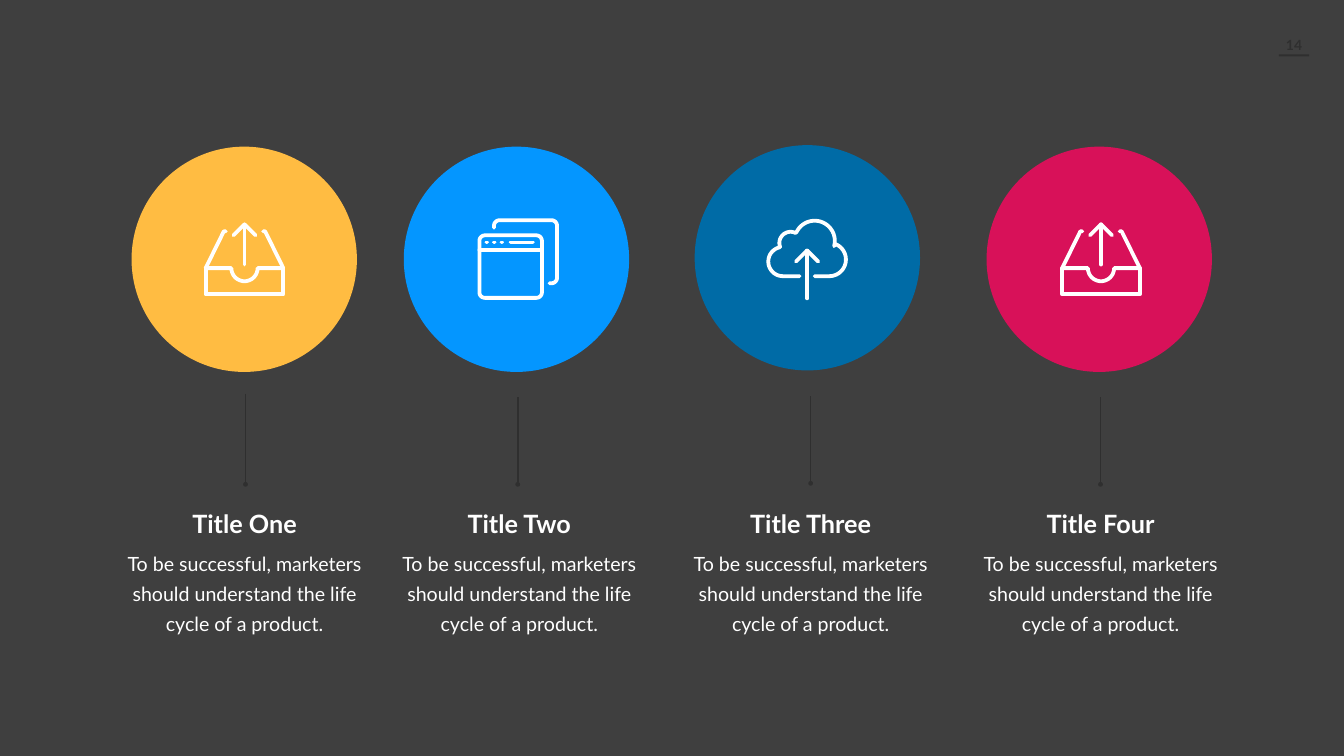
import math
from pptx import Presentation, util as u
from pptx.dml.color import RGBColor
from pptx.enum import shapes, text
from pptx.oxml.ns import qn
from lxml import etree

# Content
WIDTH, HEIGHT = 26.66, 15
BACKGROUND, DARK, WHITE = "3F3F3F", "2F2F2F", "FFFFFF"
FONT = "Lato"
PAGE = "14"
BODY = "To be successful, marketers should understand the life cycle of a product."

# title, colour, icon, circle (left, top), icon (left, top), stem (x, top, bottom), text left
COLUMNS = [
    ("Title One", "FFBC42", "tray", (2.61, 2.91), (4.04, 4.41), (4.87, 7.81, 9.61), 2.41),
    ("Title Two", "0496FF", "windows", (8.01, 2.91), (9.47, 4.33), (10.27, 7.88, 9.61), 7.86),
    ("Title Three", "006BA6", "cloud", (13.78, 2.88), (15.2, 4.34), (16.08, 7.86, 9.59), 13.64),
    ("Title Four", "D81159", "tray", (19.57, 2.91), (21.03, 4.41), (21.83, 7.88, 9.61), 19.39),
]
CIRCLE = 4.47
TEXT_WIDTH = 4.88
TITLE_TOP, TITLE_HEIGHT = 10.04, 0.71
BODY_TOP, BODY_HEIGHT = 10.77, 1.84
STROKE = 5.4


# Icons: lists of strokes, in inches from the icon's top left corner
def arc(x, y, radius, start, end, steps=24):
    angles = [math.radians(start + (end - start) * i / steps) for i in range(steps + 1)]
    return [(x + radius * math.cos(a), y + radius * math.sin(a)) for a in angles]


def arrow(tip, foot, center=0.81, wing=0.22):
    return [[(center, foot), (center, tip)],
            [(center - wing, tip + wing), (center, tip), (center + wing, tip + wing)]]


def rounded_window(left, top, side, radius):
    low, high = radius, side - radius
    corners = [(low, low, 180), (high, low, 270), (high, high, 0), (low, high, 90)]
    outline = [point for x, y, start in corners
               for point in arc(left + x, top + y, radius, start, start + 90)]
    return outline + outline[:1]


ICONS = {
    "tray": [
        [(0.04, 0.91), (0.04, 1.43), (1.58, 1.43), (1.58, 0.91)],
        [(0.44, 0.18), (0.4, 0.18), (0.04, 0.91), *arc(0.81, 0.91, 0.26, 180, 0),
         (1.58, 0.91), (1.22, 0.18), (1.18, 0.18)],
        *arrow(0.04, 0.84),
    ],
    "windows": [
        rounded_window(0.04, 0.34, 1.24, 0.11),
        [(0.04, 0.63), (1.28, 0.63)],
        *[[(x, 0.48), (x + 0.01, 0.48)] for x in (0.18, 0.33, 0.48)],
        [(0.66, 0.48), (1.1, 0.48)],
        [(0.33, 0.19), *arc(0.44, 0.15, 0.11, 180, 270), *arc(1.47, 0.15, 0.11, 270, 360),
         *arc(1.47, 1.18, 0.11, 0, 90), (1.43, 1.29)],
    ],
    "cloud": [
        [(0.66, 1.14), *arc(0.33, 0.85, 0.29, 90, 258), *arc(0.48, 0.48, 0.22, 160, 295),
         *arc(0.96, 0.44, 0.4, 205, 375), *arc(1.25, 0.81, 0.33, 290, 450), (0.96, 1.14)],
        *arrow(0.63, 1.58),
    ],
}


# Helpers
def color(hex_code):
    return RGBColor.from_string(hex_code)


def inches(*lengths):
    return [u.Inches(length) for length in lengths]


def add_solid(kind, box, fill):
    solid = slide.shapes.add_shape(kind, *inches(*box))
    solid.shadow.inherit = False
    solid.fill.solid()
    solid.fill.fore_color.rgb = color(fill)
    solid.line.fill.background()


def add_icon(strokes, left, top):
    scaled = [[(x * 1000, y * 1000) for x, y in stroke] for stroke in strokes]
    builder = slide.shapes.build_freeform(*scaled[0][0], scale=914.4)
    for stroke in scaled:
        builder.move_to(*stroke[0])
        builder.add_line_segments(stroke[1:], close=False)
    icon = builder.convert_to_shape(*inches(left, top))
    icon.shadow.inherit = False
    icon.fill.background()
    icon.line.color.rgb = color(WHITE)
    icon.line.width = u.Pt(STROKE)
    outline = icon.line._get_or_add_ln()
    outline.set("cap", "rnd")
    etree.SubElement(outline, qn("a:round"))


def add_stem(x, top, bottom):
    stem = slide.shapes.add_connector(shapes.MSO_CONNECTOR.STRAIGHT, *inches(x, top, x, bottom))
    stem.line.color.rgb = color(DARK)
    stem.line.width = u.Pt(2.25)
    etree.SubElement(stem.line._get_or_add_ln(), qn("a:tailEnd"), type="oval")
    etree.SubElement(stem._element.spPr, qn("a:effectLst"))


def add_label(parent, words, box, size, fill=WHITE, bold=False, spacing=None):
    frame = parent.add_textbox(*inches(*box)).text_frame
    frame.word_wrap = True
    frame.auto_size = text.MSO_AUTO_SIZE.SHAPE_TO_FIT_TEXT
    frame.text = words
    paragraph = frame.paragraphs[0]
    paragraph.alignment = text.PP_ALIGN.CENTER
    if spacing:
        paragraph.line_spacing = u.Pt(spacing)
    font = paragraph.runs[0].font
    font.name, font.size, font.bold = FONT, u.Pt(size), bold
    font.color.rgb = color(fill)


# Slide
deck = Presentation()
deck.slide_width, deck.slide_height = inches(WIDTH, HEIGHT)
slide = deck.slides.add_slide(deck.slide_layouts[6])
slide.background.fill.solid()
slide.background.fill.fore_color.rgb = color(BACKGROUND)

# Page number with its underline
add_solid(shapes.MSO_SHAPE.RECTANGLE, (25.37, 1.08, 0.6, 0.04), DARK)
add_label(slide.shapes, PAGE, (25.17, 0.67, 1, 0.43), 20, DARK, bold=True)

# Columns: stem, circle, icon, title and body
for title, fill, icon_name, circle_at, icon_at, stem_at, text_left in COLUMNS:
    add_stem(*stem_at)
    add_solid(shapes.MSO_SHAPE.OVAL, (*circle_at, CIRCLE, CIRCLE), fill)
    add_icon(ICONS[icon_name], *icon_at)
    caption = slide.shapes.add_group_shape().shapes
    add_label(caption, title, (text_left, TITLE_TOP, TEXT_WIDTH, TITLE_HEIGHT), 36, bold=True)
    add_label(caption, BODY, (text_left, BODY_TOP, TEXT_WIDTH, BODY_HEIGHT), 28, spacing=43)

deck.save("out.pptx")
